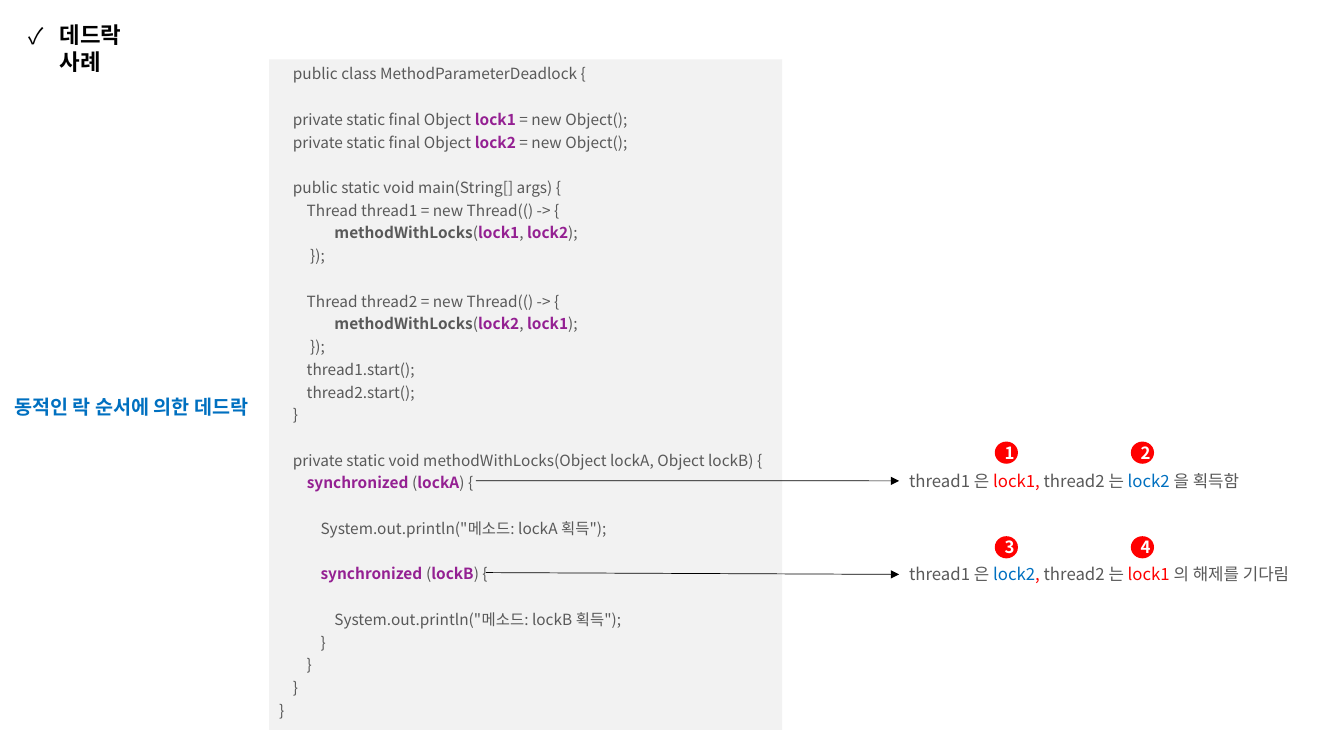
from lxml import etree
from pptx import Presentation
from pptx.dml.color import RGBColor
from pptx.enum.shapes import MSO_CONNECTOR, MSO_SHAPE
from pptx.enum.text import MSO_ANCHOR, MSO_AUTO_SIZE, PP_ALIGN
from pptx.oxml.ns import qn
from pptx.util import Pt

FONT = "Noto Sans CJK KR"
GREY, BLUE, RED = "595959", "0070C0", "FF0000"

# A piece of text between bars takes its look from its first character
MARKS = {
    "*": dict(color="942092", bold=True),
    "^": dict(bold=True),
    "!": dict(color=RED),
    "#": dict(color=BLUE),
}

CODE = """\
    public class MethodParameterDeadlock {

    private static final Object |*lock1| = new Object();
    private static final Object |*lock2| = new Object();

    public static void main(String[] args) {
        Thread thread1 = new Thread(() -> {
                |^methodWithLocks|(|*lock1|, |*lock2|);
         });

        Thread thread2 = new Thread(() -> {
                |^methodWithLocks|(|*lock2|, |*lock1|);
         });
        thread1.start();
        thread2.start();
    }

    private static void methodWithLocks(Object lockA, Object lockB) {
        |*synchronized| (|*lockA|) {

            System.out.println("메소드: lockA 획득");

            |*synchronized| (|*lockB|) {

                System.out.println("메소드: lockB 획득");
            }
        }
    }
}"""


def rgb(hex_color):
    return RGBColor.from_string(hex_color)


def add_run(p, text, size=12, color=GREY, bold=False):
    r = p.add_run()
    r.text = text
    r.font.name, r.font.size, r.font.bold = FONT, Pt(size), bold
    r.font.color.rgb = rgb(color)
    etree.SubElement(r.font._element, qn("a:ea"), typeface=FONT)


def write(p, marked, **style):
    for piece in filter(None, marked.split("|")):
        look = MARKS.get(piece[0])
        add_run(p, piece[1:] if look else piece, **{**style, **(look or {})})


class Slide:
    line_height, line_gap = 13.3, 3

    def __init__(self, prs):
        self.shapes = prs.slides.add_slide(prs.slide_layouts[6]).shapes

    def text(self, left, top, width, height, marked, wrap=True, **style):
        sp = self.shapes.add_textbox(Pt(left), Pt(top), Pt(width), Pt(height))
        tf = sp.text_frame
        tf.word_wrap = wrap
        tf.auto_size = MSO_AUTO_SIZE.SHAPE_TO_FIT_TEXT
        write(tf.paragraphs[0], marked, **style)
        return sp

    def bullet(self, p, char, indent):
        pPr = p._p.get_or_add_pPr()
        pPr.set("marL", str(Pt(indent)))
        pPr.set("indent", str(-Pt(indent)))
        etree.SubElement(pPr, qn("a:buFont"), typeface=FONT)
        etree.SubElement(pPr, qn("a:buChar"), char=char)

    def shape(self, kind, left, top, width, height, fill):
        sp = self.shapes.add_shape(kind, Pt(left), Pt(top), Pt(width), Pt(height))
        sp.shadow.inherit = False
        sp.fill.solid()
        sp.fill.fore_color.rgb = rgb(fill)
        sp.line.fill.background()
        return sp

    def code(self, left, top, width, height, source):
        sp = self.shape(MSO_SHAPE.RECTANGLE, left, top, width, height, "F2F2F2")
        tf = sp.text_frame
        tf.word_wrap = True
        tf.vertical_anchor = MSO_ANCHOR.TOP
        tf.auto_size = MSO_AUTO_SIZE.SHAPE_TO_FIT_TEXT
        p, gap = tf.paragraphs[0], 0
        for i, line in enumerate(source.split("\n")):
            gap += self.line_gap if i else 0
            if not line:  # an empty code line becomes space before the next
                gap += self.line_height
                continue
            p = tf.add_paragraph() if i else p
            p.alignment = PP_ALIGN.LEFT
            p.space_before = Pt(gap)
            write(p, line, size=11)
            gap = 0

    def arrow(self, x, y, target):
        c = self.shapes.add_connector(MSO_CONNECTOR.STRAIGHT, Pt(x), Pt(y), Pt(x), Pt(y))
        c.end_connect(target, 1)
        c.line.color.rgb = rgb("000000")
        c.line.width = Pt(0.5)
        etree.SubElement(c.line._get_or_add_ln(), qn("a:tailEnd"), type="triangle")
        etree.SubElement(c._element.spPr, qn("a:effectLst"))

    def badge(self, left, top, number):
        sp = self.shape(MSO_SHAPE.OVAL, left, top, 16.56, 15.84, RED)
        tf = sp.text_frame
        tf.vertical_anchor = MSO_ANCHOR.MIDDLE
        p = tf.paragraphs[0]
        p.alignment = PP_ALIGN.CENTER
        write(p, str(number), color="FFFFFF", bold=True)


def main():
    prs = Presentation()
    prs.slide_width, prs.slide_height = Pt(960), Pt(540)
    s = Slide(prs)

    # Title and topic
    title = s.text(13, 11.5, 113, 26.6, "데드락 사례", wrap=False,
                   size=16, color="000000", bold=True)
    s.bullet(title.text_frame.paragraphs[0], "✓", 22.5)
    topic = s.text(0, 270, 188, 30.2, "동적인 락 순서에 의한 데드락",
                   size=14, color=BLUE, bold=True)
    p = topic.text_frame.paragraphs[0]
    p.alignment, p.line_spacing = PP_ALIGN.CENTER, 1.5

    # Code listing
    s.code(192.25, 42.5, 366.5, 478.8, CODE)

    # Notes, each with an arrow from the code and two numbered badges
    notes = [
        (332.6, 250, "thread1 은 |!lock1, |thread2 는 |#lock2 |을 획득함", (340, 343.4), 315.4),
        (399.4, 289.5, "thread1 은 |#lock2|!, |thread2 는 |!lock1 |의 해제를 기다림", (347, 409), 383),
    ]
    for row, (top, width, marked, start, badge_top) in enumerate(notes):
        note = s.text(642.25, top, width, 21.8, marked)
        s.arrow(*start, note)
        for col, left in enumerate((710.6, 807.8)):
            s.badge(left, badge_top, 2 * row + col + 1)

    prs.save("out.pptx")


if __name__ == "__main__":
    main()
